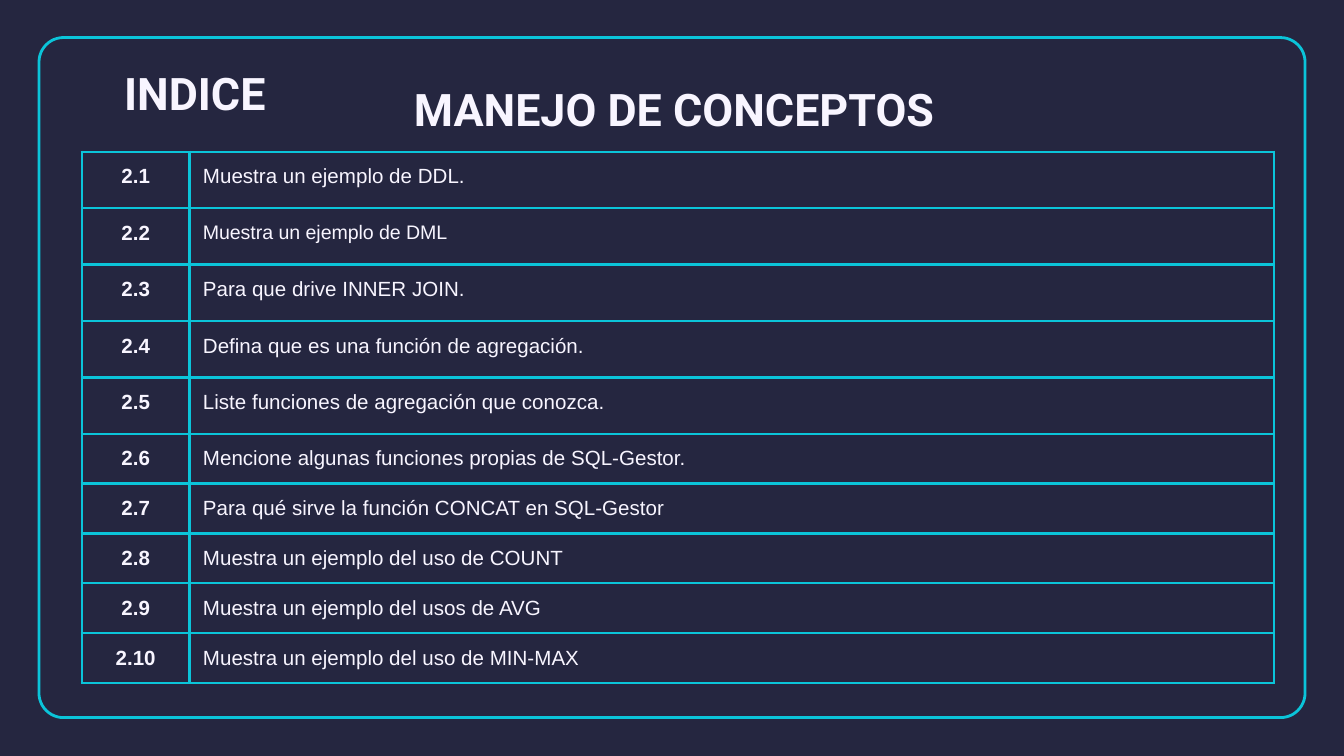
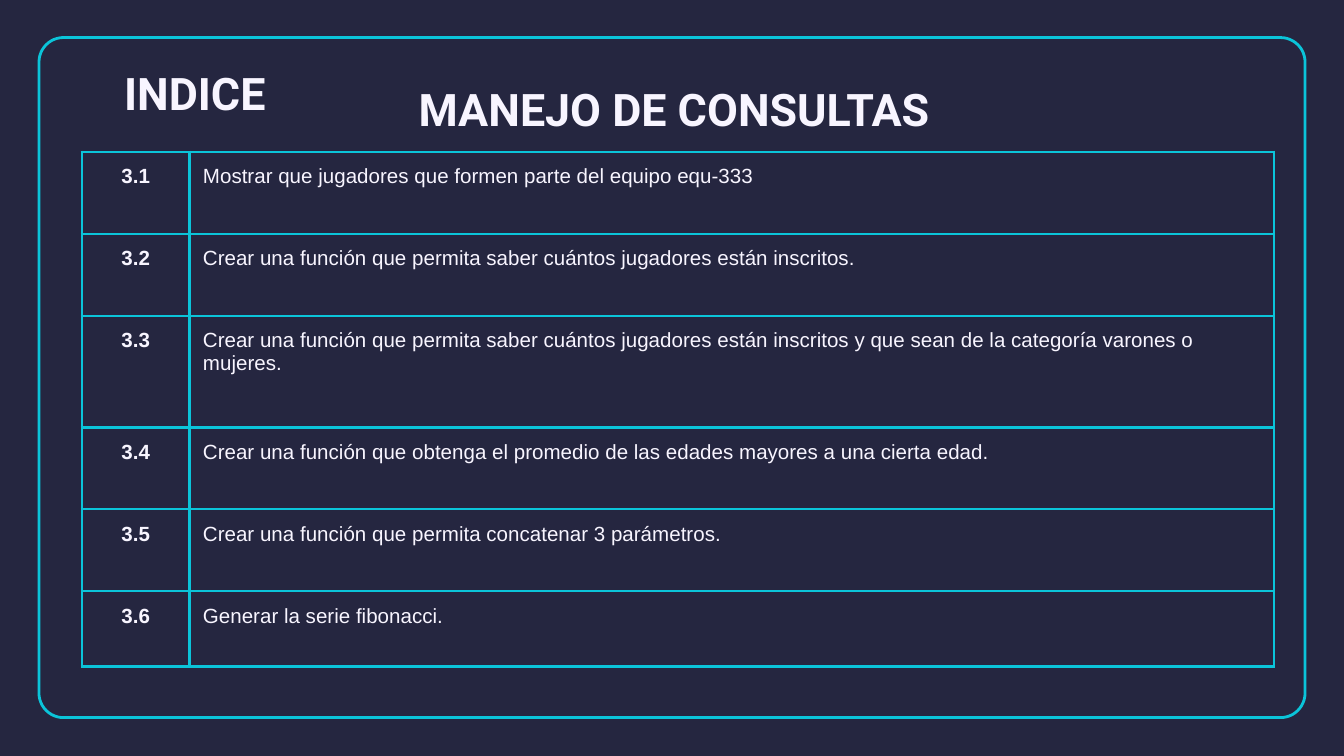
"""Builds two index slides, each with a framed table of numbered topics."""
from lxml import etree
from pptx import Presentation
from pptx import util as u
from pptx.dml.color import RGBColor
from pptx.enum import shapes, text
from pptx.oxml.ns import qn

HUES = {"back": "252640", "line": "0BC4D9", "ink": "F8F5FF"}
HEAD = {"name": "Roboto", "size": u.Pt(24), "bold": True}
BODY = {"name": "Arial", "size": u.Pt(11), "bold": False}
EDGE = u.Inches(0.1)
FRAME = {"word_wrap": True, "auto_size": text.MSO_AUTO_SIZE.NONE,
         "vertical_anchor": text.MSO_ANCHOR.MIDDLE}
SIDES = ("left", "right", "top", "bottom")
TAGS = ("a:lnL", "a:lnR", "a:lnT", "a:lnB")

PAGES = [
    {"head": "MANEJO DE CONCEPTOS", "part": 2,
     "rows": [0.42] * 5 + [0.37] * 5,
     "items": ["Muestra un ejemplo de DDL.",
               "Muestra un ejemplo de DML",
               "Para que drive INNER JOIN.",
               "Defina que es una función de agregación.",
               "Liste funciones de agregación que conozca.",
               "Mencione algunas funciones propias de SQL-Gestor.",
               "Para qué sirve la función CONCAT en SQL-Gestor",
               "Muestra un ejemplo del uso de COUNT",
               "Muestra un ejemplo del usos de AVG",
               "Muestra un ejemplo del uso de MIN-MAX"],
     "size": {2: 10.5}, "tight": [9]},
    {"head": "MANEJO DE CONSULTAS", "part": 3,
     "rows": [0.61, 0.61, 0.83, 0.61, 0.61, 0.56],
     "items": ["Mostrar que jugadores que formen parte del equipo equ-333",
               "Crear una función que permita saber cuántos jugadores están inscritos.",
               "Crear una función que permita saber cuántos jugadores están inscritos "
               "y que sean de la categoría varones o mujeres.",
               "Crear una función que obtenga el promedio de las edades mayores a una cierta edad.",
               "Crear una función que permita concatenar 3 parámetros.",
               "Generar la serie fibonacci."],
     "size": {}, "tight": []},
]


def write(para, words, style, align):
    para.text = words
    para.alignment = align
    for key, value in style.items():
        setattr(para.runs[0].font, key, value)
    para.runs[0].font.color.rgb = RGBColor.from_string(HUES["ink"])


def rule(cell):
    props = cell._tc.get_or_add_tcPr()
    for spot, tag in enumerate(TAGS):
        line = etree.Element(qn(tag), w=str(u.Pt(1.5)))
        fill = etree.SubElement(line, qn("a:solidFill"))
        etree.SubElement(fill, qn("a:srgbClr"), val=HUES["line"])
        props.insert(spot, line)


prs = Presentation()
prs.slide_width = u.Inches(10)
prs.slide_height = u.Inches(10) * 9 // 16
back = prs.slide_master.background.fill
back.solid()
back.fore_color.rgb = RGBColor.from_string(HUES["back"])

for page in PAGES:
    slide = prs.slides.add_slide(prs.slide_layouts[5])
    title = slide.shapes.title

    frame = slide.shapes.add_shape(shapes.MSO_SHAPE.ROUNDED_RECTANGLE,
                                   *map(u.Inches, (0.29, 0.28, 9.42, 5.06)))
    frame.adjustments[0] = 0.036
    frame.shadow.inherit = False
    frame.fill.background()
    frame.line.color.rgb = RGBColor.from_string(HUES["line"])
    frame.line.width = u.Pt(1.5)
    title.element.addprevious(frame.element)

    count = len(page["items"])
    grid = slide.shapes.add_table(count, 2, u.Inches(0.61), u.Inches(1.13),
                                  u.Inches(8.87), u.Inches(sum(page["rows"]))).table
    grid.first_row = grid.horz_banding = False
    for col, width in zip(grid.columns, (0.8, 8.07)):
        col.width = u.Inches(width)
    for num, (row, high, item) in enumerate(zip(grid.rows, page["rows"], page["items"]), 1):
        row.height = u.Inches(high)
        for cell in row.cells:
            for side in SIDES:
                setattr(cell, "margin_" + side, EDGE)
            cell.fill.background()
            rule(cell)
        label, topic = (cell.text_frame.paragraphs[0] for cell in row.cells)
        write(label, f"{page['part']}.{num}", BODY | {"bold": True}, text.PP_ALIGN.CENTER)
        size = u.Pt(page["size"].get(num, 11))
        write(topic, item, BODY | {"size": size}, text.PP_ALIGN.LEFT)
        topic.space_after = u.Pt(0 if num in page["tight"] else 16)

    banner = slide.shapes.add_textbox(0, 0, 0, 0)
    for box, words, place in ((title, "INDICE", (0.77, 0.37, 1.36, 0.63)),
                              (banner, page["head"], (0.8, 0.49, 8.43, 0.63))):
        for key, value in zip(("left", "top", "width", "height"), place):
            setattr(box, key, u.Inches(value))
        for key, value in FRAME.items():
            setattr(box.text_frame, key, value)
        for side in SIDES:
            setattr(box.text_frame, "margin_" + side, EDGE)
        write(box.text_frame.paragraphs[0], words, HEAD, text.PP_ALIGN.CENTER)

prs.save("out.pptx")
